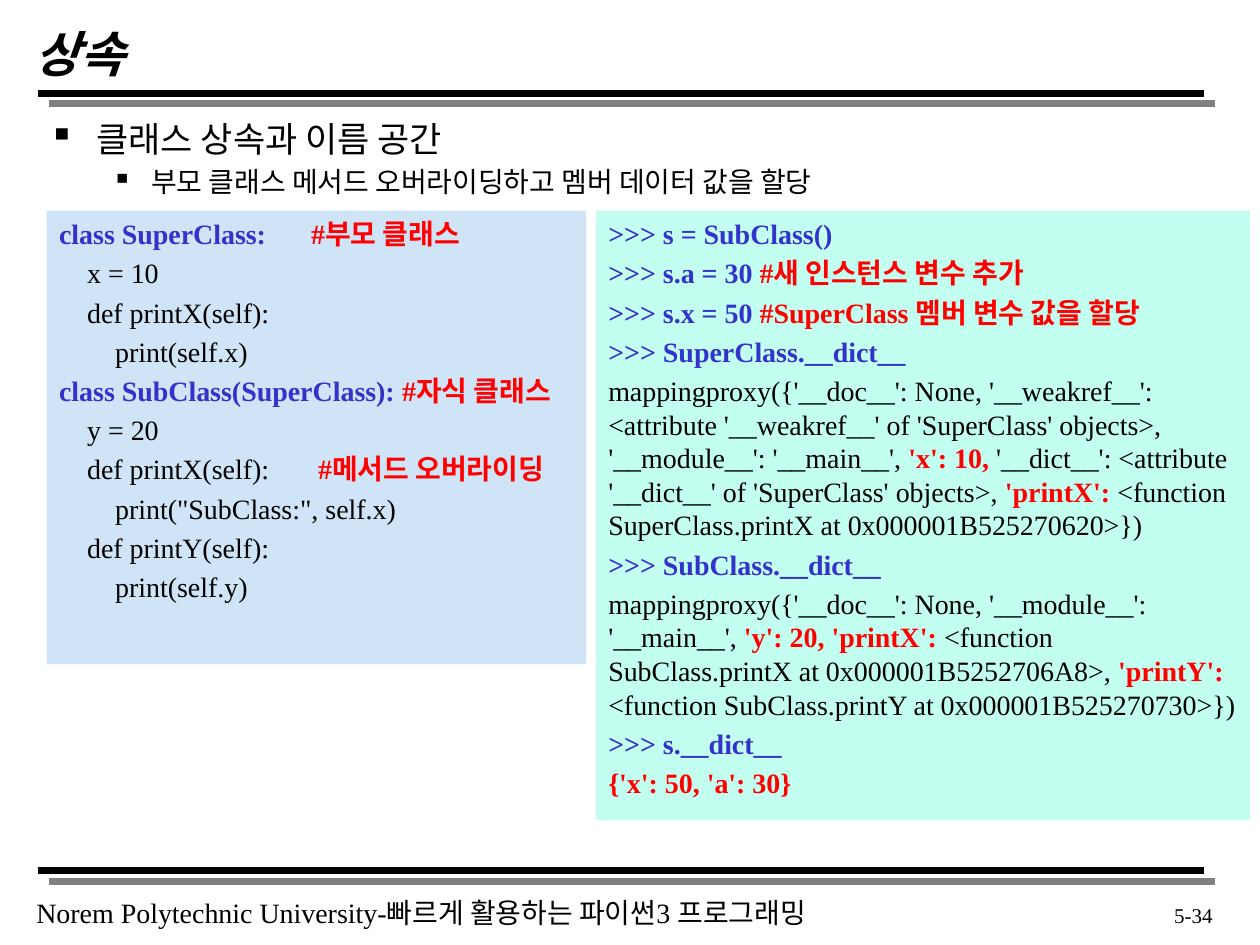
from pptx import Presentation
from pptx.dml.color import RGBColor
from pptx.enum.shapes import MSO_CONNECTOR, MSO_SHAPE
from pptx.enum.text import MSO_ANCHOR, MSO_AUTO_SIZE, PP_ALIGN
from pptx.oxml import parse_xml
from pptx.oxml.ns import nsdecls
from pptx.util import Pt

THEME = {
    "font": "Times New Roman",
    "title": 28, "topic": 20, "text": 16, "page": 12,
    "black": RGBColor(0, 0, 0),
    "blue": RGBColor(0x33, 0x33, 0xCC),
    "red": RGBColor(0xFF, 0, 0),
    "source_fill": RGBColor(0xCF, 0xE4, 0xF6),
    "session_fill": RGBColor(0xC2, 0xFF, 0xF0),
    "line_shadow": "808080",
}


def style(r, size, color="black", bold=False, italic=False):
    r.font.name = THEME["font"]
    r.font.size = Pt(THEME[size])
    r.font.color.rgb = THEME[color]
    r.font.bold = bold
    r.font.italic = italic


def text_box(x, y, w, h, wrap=True):
    tf = s.shapes.add_textbox(Pt(x), Pt(y), Pt(w), Pt(h)).text_frame
    tf.word_wrap = wrap
    return tf


prs = Presentation()
prs.slide_width, prs.slide_height = Pt(720), Pt(540)
s = prs.slides.add_slide(prs.slide_layouts[5])

# Rules under the title and above the footer, with an offset grey shadow
for y in (53.3, 497.5):
    rule = s.shapes.add_connector(MSO_CONNECTOR.STRAIGHT, Pt(22), Pt(y), Pt(688), Pt(y))
    rule.line.color.rgb = THEME["black"]
    rule.line.width = Pt(4)
    rule._element.spPr.append(parse_xml(
        f'<a:effectLst {nsdecls("a")}><a:outerShdw dist="{Pt(8.5)}" dir="2700000" algn="ctr" '
        f'rotWithShape="0"><a:srgbClr val="{THEME["line_shadow"]}"/></a:outerShdw></a:effectLst>'))

# Title
title = s.shapes.title
title.left, title.top, title.width, title.height = Pt(12.24), Pt(12.24), Pt(612), Pt(36)
tf = title.text_frame
tf.text = "상속"
tf.auto_size = MSO_AUTO_SIZE.NONE
tf.vertical_anchor = MSO_ANCHOR.MIDDLE
tf.paragraphs[0].alignment = PP_ALIGN.LEFT
style(tf.paragraphs[0].runs[0], "title", bold=True, italic=True)

# Topic bullets: text, size, left margin, hanging indent
topics = [
    ("클래스 상속과 이름 공간", "topic", 27, 27),
    ("부모 클래스 메서드 오버라이딩하고 멤버 데이터 값을 할당", "text", 58.5, 22.5),
]
tf = text_box(20.9, 63.4, 675, 56)
for i, (text, size, margin, hanging) in enumerate(topics):
    p = tf.add_paragraph() if i else tf.paragraphs[0]
    p.text = text
    p.level = i
    p.space_before = Pt(THEME[size] * 0.2)
    style(p.runs[0], size)
    pPr = p._p.get_or_add_pPr()
    pPr.set("marL", str(Pt(margin)))
    pPr.set("indent", str(-Pt(hanging)))
    pPr.append(parse_xml(f'<a:buChar {nsdecls("a")} char="▪"/>'))

# Code panels: each line is an indent level followed by (text, colour) runs;
# coloured runs are bold
source_lines = [
    (0, ("class SuperClass:\t", "blue"), ("#부모 클래스", "red")),
    (1, ("x = 10", "black")),
    (1, ("def printX(self):", "black")),
    (2, ("print(self.x)", "black")),
    (0, ("class SubClass(SuperClass): ", "blue"), ("#자식 클래스", "red")),
    (1, ("y = 20", "black")),
    (1, ("def printX(self):\t", "black"), ("#메서드 오버라이딩", "red")),
    (2, ('print("SubClass:", self.x)', "black")),
    (1, ("def printY(self):", "black")),
    (2, ("print(self.y)", "black")),
]
session_lines = [
    (0, (">>> s = SubClass()", "blue")),
    (0, (">>> s.a = 30 ", "blue"), ("#새 인스턴스 변수 추가", "red")),
    (0, (">>> s.x = 50 ", "blue"), ("#SuperClass 멤버 변수 값을 할당", "red")),
    (0, (">>> SuperClass.__dict__", "blue")),
    (0, ("mappingproxy({'__doc__': None, '__weakref__': <attribute '__weakref__' "
         "of 'SuperClass' objects>, '__module__': '__main__', ", "black"),
        ("'x': 10, ", "red"),
        ("'__dict__': <attribute '__dict__' of 'SuperClass' objects>, ", "black"),
        ("'printX': ", "red"),
        ("<function SuperClass.printX at 0x000001B525270620>})", "black")),
    (0, (">>> SubClass.__dict__", "blue")),
    (0, ("mappingproxy({'__doc__': None, '__module__': '__main__', ", "black"),
        ("'y': 20, 'printX': ", "red"),
        ("<function SubClass.printX at 0x000001B5252706A8>, ", "black"),
        ("'printY': ", "red"),
        ("<function SubClass.printY at 0x000001B525270730>})", "black")),
    (0, (">>> s.__dict__", "blue")),
    (0, ("{'x': 50, 'a': 30}", "red")),
]
panels = [
    (26.7, 308.2, 259.2, "source_fill", source_lines),
    (340.5, 373.7, 348.5, "session_fill", session_lines),
]
INDENT = 16
COMMENT_TABS = {0: 144, 1: 132}
for x, w, h, fill, lines in panels:
    sp = s.shapes.add_shape(MSO_SHAPE.RECTANGLE, Pt(x), Pt(120.4), Pt(w), Pt(h))
    sp.shadow.inherit = False
    sp.fill.solid()
    sp.fill.fore_color.rgb = THEME[fill]
    sp.line.fill.background()
    tf = sp.text_frame
    tf.word_wrap = True
    tf.vertical_anchor = MSO_ANCHOR.TOP
    for i, (depth, *runs) in enumerate(lines):
        p = tf.add_paragraph() if i else tf.paragraphs[0]
        p.alignment = PP_ALIGN.LEFT
        p.space_before = Pt(THEME["text"] * 0.2)
        pPr = p._p.get_or_add_pPr()
        pPr.set("marL", str(Pt(depth * INDENT)))
        if runs[0][0].endswith("\t"):
            pPr.append(parse_xml(
                f'<a:tabLst {nsdecls("a")}><a:tab pos="{Pt(COMMENT_TABS[depth])}" algn="l"/></a:tabLst>'))
        for text, color in runs:
            r = p.add_run()
            r.text = text
            style(r, "text", color, bold=color != "black")

# Footer and page number
tf = text_box(13.7, 508.3, 475, 26.6, wrap=False)
tf.text = "Norem Polytechnic University-빠르게 활용하는 파이썬3 프로그래밍"
style(tf.paragraphs[0].runs[0], "text")

tf = text_box(640, 512, 60, 23)
tf.text = "5-34"
tf.paragraphs[0].alignment = PP_ALIGN.RIGHT
style(tf.paragraphs[0].runs[0], "page")

prs.save("out.pptx")
